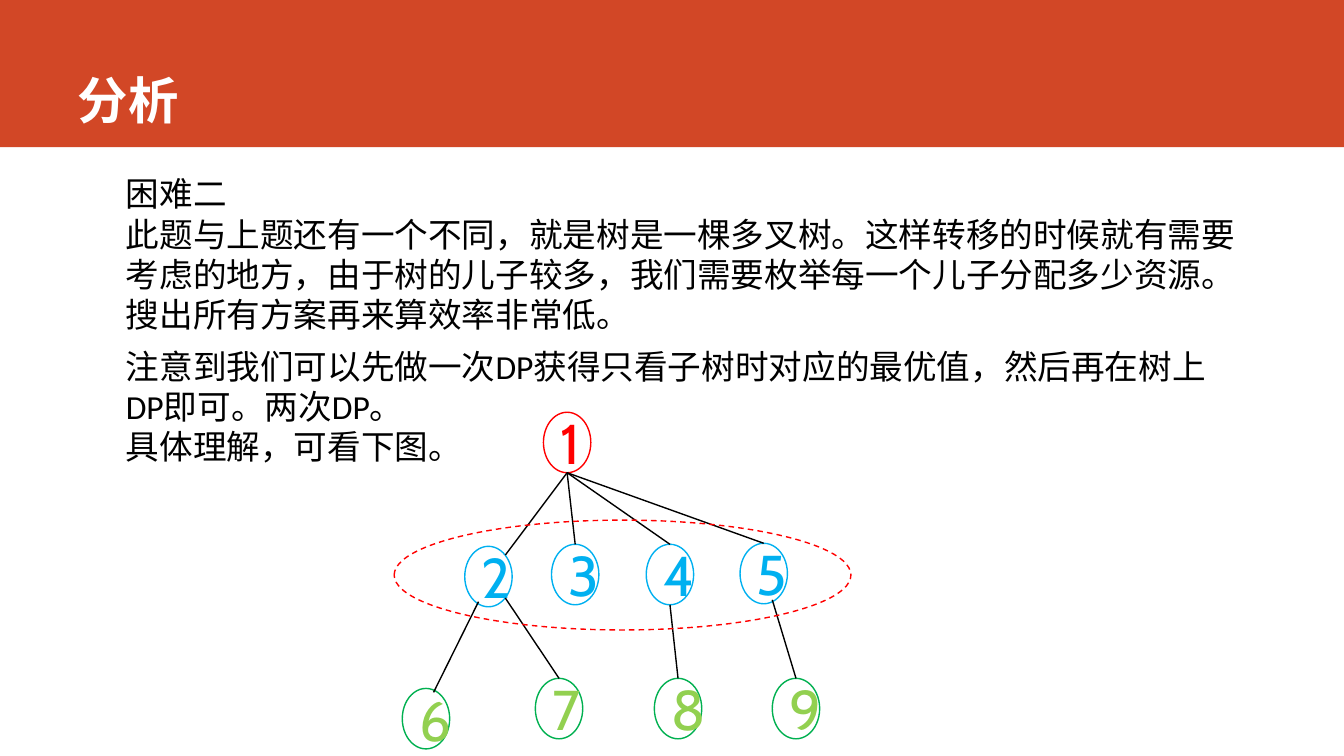
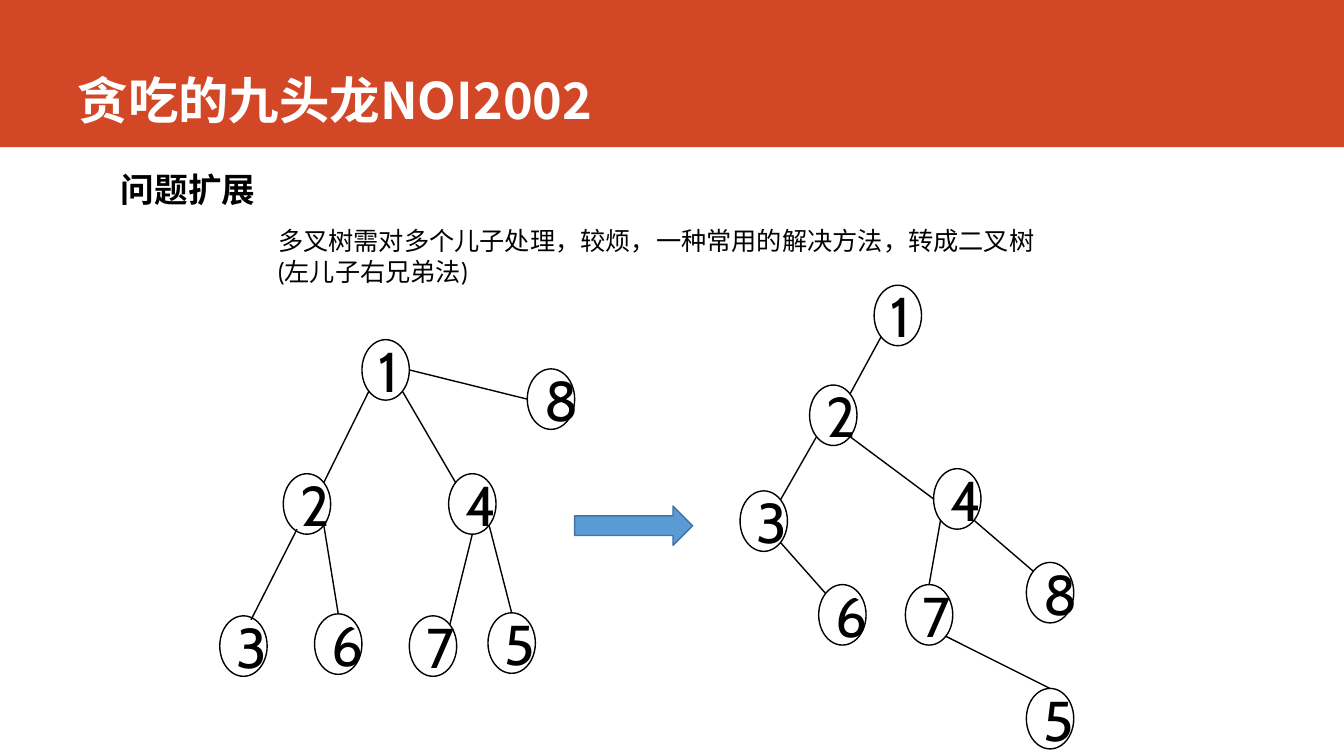
from lxml import etree
from pptx import Presentation
from pptx.dml.color import RGBColor
from pptx.enum.dml import MSO_LINE
from pptx.enum.shapes import MSO_CONNECTOR, MSO_SHAPE
from pptx.enum.text import MSO_ANCHOR, PP_ALIGN
from pptx.oxml.ns import qn
from pptx.util import Inches, Pt

ELLIPSE, RECT, ARROW = MSO_SHAPE.OVAL, MSO_SHAPE.RECTANGLE, MSO_SHAPE.RIGHT_ARROW
STRAIGHT, DASH = MSO_CONNECTOR.STRAIGHT, MSO_LINE.DASH
TOP, MIDDLE, BOTTOM = MSO_ANCHOR.TOP, MSO_ANCHOR.MIDDLE, MSO_ANCHOR.BOTTOM
LEFT, CENTER = PP_ALIGN.LEFT, PP_ALIGN.CENTER

BAND = RGBColor(0xD2, 0x47, 0x26)
WHITE = RGBColor(0xFF, 0xFF, 0xFF)
BLACK = RGBColor(0, 0, 0)
RED = RGBColor(0xFF, 0, 0)
CYAN = RGBColor(0, 0xB0, 0xF0)
GREEN = RGBColor(0, 0xB0, 0x50)
LIME = RGBColor(0x92, 0xD0, 0x50)
BLUE = RGBColor(0x5B, 0x9B, 0xD5)
NAVY = RGBColor(0x43, 0x73, 0x9E)

CJK, SANS, DIGIT = "Noto Sans CJK SC", "Calibri", "Cabin"
SLIDE_W, SLIDE_H = 13.33, 7.5
NODE_W, NODE_H = 0.47, 0.6
DIAG = 0.71
SITES = {
    "n": (0, -1), "s": (0, 1), "w": (-1, 0), "e": (1, 0),
    "ne": (DIAG, -DIAG), "nw": (-DIAG, -DIAG),
    "se": (DIAG, DIAG), "sw": (-DIAG, DIAG),
    "nne": (0.32, -0.87), "sse": (0.36, 0.87), "ssw": (-0.42, 0.83),
}


def put_text(tf, text, font=SANS, size=24, color=BLACK, bold=False,
             align=LEFT, anchor=TOP):
    tf.word_wrap = True
    tf.vertical_anchor = anchor
    for i, line in enumerate(text.split("\n")):
        p = tf.paragraphs[0] if i == 0 else tf.add_paragraph()
        p.alignment = align
        r = p.add_run()
        r.text = line
        r.font.name, r.font.size, r.font.bold = font, Pt(size), bold
        r.font.color.rgb = color
        latin = r.font._element.find(qn("a:latin"))
        latin.addnext(etree.Element(qn("a:ea"), typeface=CJK))


def add_text(shapes, box, text, **fmt):
    sp = shapes.add_textbox(*map(Inches, box))
    put_text(sp.text_frame, text, **fmt)


def add_shape(shapes, kind, box, fill=None, line=None, dash=None):
    sp = shapes.add_shape(kind, *map(Inches, box))
    sp.shadow.inherit = False
    if fill is None:
        sp.fill.background()
    else:
        sp.fill.solid()
        sp.fill.fore_color.rgb = fill
    if line is None:
        sp.line.fill.background()
    else:
        sp.line.color.rgb, sp.line.width = line, Pt(1)
        if dash is not None:
            sp.line.dash_style = dash
    return sp


def add_node(shapes, label, left, top, line, color):
    sp = add_shape(shapes, ELLIPSE, (left, top, NODE_W, NODE_H), line=line)
    put_text(sp.text_frame, label, font=DIGIT, size=40, color=color,
             align=CENTER, anchor=MIDDLE)
    return sp


def site_point(sp, site):
    dx, dy = SITES[site]
    return (int(sp.left + sp.width * (1 + dx) / 2),
            int(sp.top + sp.height * (1 + dy) / 2))


def add_edge(shapes, parent, start, child, end):
    cx = shapes.add_connector(STRAIGHT, *site_point(parent, start),
                              *site_point(child, end))
    if end == "n":
        cx.end_connect(child, 0)
    cx.line.color.rgb, cx.line.width = BLACK, Pt(1)
    etree.SubElement(cx._element.spPr, qn("a:effectLst"))


def add_tree(shapes, nodes, edges, styles):
    tree = {label: add_node(shapes, label, left, top,
                            *styles.get(label, (BLACK, BLACK)))
            for label, (left, top) in nodes.items()}
    for edge in edges.split():
        parent, start, child, end = edge.split("-")
        add_edge(shapes, tree[parent], start, tree[child], end)


def set_up_layout(prs):
    layout = prs.slide_layouts[5]
    title = layout.placeholders[0]
    title.left, title.top = Inches(0.67), 0
    title.width, title.height = Inches(11.75), Inches(1.34)
    return layout


def add_band(slide, layout):
    sp = add_shape(slide.shapes, RECT, (0, 0, SLIDE_W, 1.46), fill=BAND)
    layout.shapes._spTree.insert(2, sp._element)


def add_slide(prs, layout, title):
    slide = prs.slides.add_slide(layout)
    put_text(slide.shapes.title.text_frame, title, font=CJK, size=36,
             color=WHITE, bold=True, anchor=BOTTOM)
    return slide


def build_analysis(slide):
    shapes = slide.shapes
    add_text(shapes, (1.15, 1.66, 11.51, 1.72),
             "困难二\n此题与上题还有一个不同，就是树是一棵多叉树。这样转移的时候就有需要"
             "考虑的地方，由于树的儿子较多，我们需要枚举每一个儿子分配多少资源。"
             "搜出所有方案再来算效率非常低。", anchor=MIDDLE)
    add_text(shapes, (1.15, 3.38, 11.14, 1.31),
             "注意到我们可以先做一次DP获得只看子树时对应的最优值，然后再在树上"
             "DP即可。两次DP。\n具体理解，可看下图。")
    styles = {"1": (RED, RED)}
    styles.update(dict.fromkeys("2345", (CYAN, CYAN)))
    styles.update(dict.fromkeys("6789", (GREEN, LIME)))
    add_tree(shapes,
             {"1": (5.39, 4.09), "2": (4.61, 5.42), "3": (5.47, 5.4),
              "4": (6.41, 5.4), "5": (7.34, 5.39), "6": (3.99, 6.83),
              "7": (5.31, 6.73), "8": (6.49, 6.73), "9": (7.66, 6.73)},
             "1-s-2-ne 1-s-3-n 1-s-4-n 1-s-5-n "
             "2-ssw-6-nne 2-se-7-n 4-s-8-n 5-sse-9-n", styles)
    add_shape(shapes, ELLIPSE, (3.91, 5.16, 4.53, 1.09), line=RED, dash=DASH)


def build_extension(slide):
    shapes = slide.shapes
    add_text(shapes, (1.1, 1.63, 2.49, 0.5), "问题扩展", font=DIGIT, bold=True)
    add_tree(shapes.add_group_shape().shapes,
             {"1": (3.59, 3.37), "2": (2.81, 4.7), "4": (4.45, 4.7),
              "3": (2.18, 6.11), "5": (4.84, 6.08), "6": (3.12, 6.09),
              "7": (4.06, 6.11), "8": (5.23, 3.66)},
             "1-sw-2-ne 2-ssw-3-nne 1-se-4-nw 4-se-5-n "
             "2-se-6-n 4-s-7-ne 1-e-8-w", {})
    add_tree(shapes,
             {"1": (8.67, 2.83), "2": (8.03, 3.82), "4": (9.26, 4.65),
              "3": (7.34, 4.87), "5": (10.18, 6.83), "6": (8.12, 5.8),
              "7": (8.98, 5.8), "8": (10.18, 5.58)},
             "1-sw-2-ne 2-sw-3-ne 2-se-4-w 7-se-5-n "
             "3-se-6-nw 4-sw-7-n 4-se-8-nw", {})
    add_shape(shapes, ARROW, (5.7, 5.02, 1.17, 0.39), fill=BLUE, line=NAVY)
    add_text(shapes, (2.66, 2.19, 7.76, 0.71),
             "多叉树需对多个儿子处理，较烦，一种常用的解决方法，转成二叉树"
             "(左儿子右兄弟法)", font=DIGIT, size=18)


def main():
    prs = Presentation()
    prs.slide_width, prs.slide_height = Inches(SLIDE_W), Inches(SLIDE_H)
    layout = set_up_layout(prs)
    analysis = add_slide(prs, layout, "分析")
    add_band(analysis, layout)
    build_analysis(analysis)
    build_extension(add_slide(prs, layout, "贪吃的九头龙NOI2002"))
    prs.save("out.pptx")


if __name__ == "__main__":
    main()
